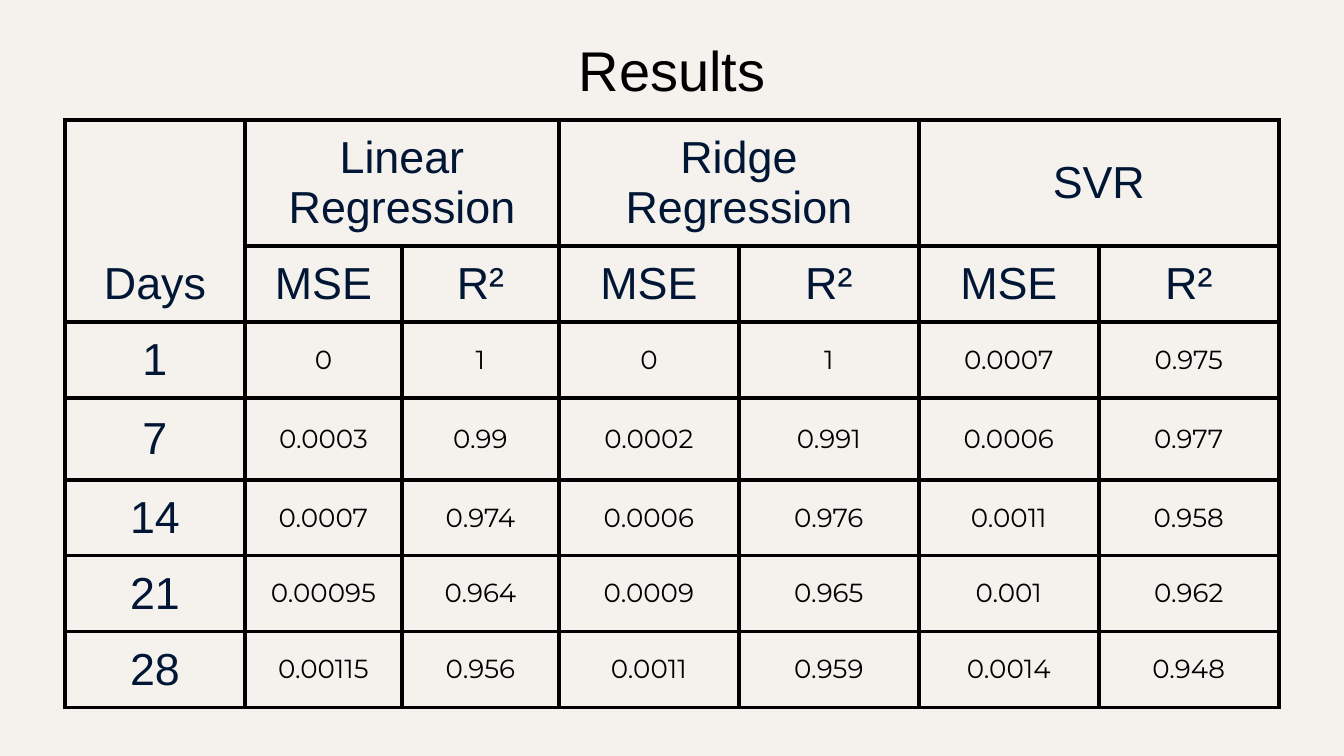
import pptx
import pptx.dml.color
import pptx.enum.text
import pptx.oxml
import pptx.oxml.ns
import pptx.util

EMU_PER_PX = 914400 / 134.4
BACKGROUND = pptx.dml.color.RGBColor(0xF5, 0xF2, 0xEE)
BLACK = pptx.dml.color.RGBColor(0x00, 0x00, 0x00)
NAVY = pptx.dml.color.RGBColor(0x01, 0x16, 0x35)
ANCHOR = pptx.enum.text.MSO_ANCHOR
CENTER = pptx.enum.text.PP_ALIGN.CENTER

TITLE_FONT = {"name": "Arial", "size": pptx.util.Pt(30), "bold": False}
HEADER_FONT = {"name": "Arial", "size": pptx.util.Pt(24), "bold": False}
VALUE_FONT = {"name": "Montserrat", "size": pptx.util.Pt(14), "bold": False}

COLUMNS = [180, 157, 157, 180, 180, 180, 180]
ROWS = [74, 74, 74, 82, 74, 74, 74]
MODELS = ["Linear\nRegression", "Ridge\nRegression", "SVR"]
METRICS = ["MSE", "R²"]
RESULTS = [
    ["1", "0", "1", "0", "1", "0.0007", "0.975"],
    ["7", "0.0003", "0.99", "0.0002", "0.991", "0.0006", "0.977"],
    ["14", "0.0007", "0.974", "0.0006", "0.976", "0.0011", "0.958"],
    ["21", "0.00095", "0.964", "0.0009", "0.965", "0.001", "0.962"],
    ["28", "0.00115", "0.956", "0.0011", "0.959", "0.0014", "0.948"],
]


def px(n):
    """Turn pixels into EMU."""
    return pptx.util.Emu(round(n * EMU_PER_PX))


def apply(obj, values):
    """Set each attribute named in values."""
    for name, value in values.items():
        setattr(obj, name, value)


def write(tf, text, font, color):
    """Fill a text frame with centred paragraphs."""
    tf.text = text
    for p in tf.paragraphs:
        p.alignment = CENTER
        for r in p.runs:
            apply(r.font, font)
            r.font.color.rgb = color


def add_title(s, text):
    """Place and format the title placeholder."""
    sp = s.shapes.title
    apply(sp, {"left": px(0), "top": px(16), "width": px(1344), "height": px(85)})
    tf = sp.text_frame
    apply(tf, {
        "word_wrap": True,
        "auto_size": pptx.enum.text.MSO_AUTO_SIZE.NONE,
        "vertical_anchor": ANCHOR.TOP,
        "margin_left": px(13), "margin_right": px(13),
        "margin_top": px(20), "margin_bottom": px(13),
    })
    write(tf, text, TITLE_FONT, BLACK)


def set_borders(cell):
    """Draw a black line on all four sides of a cell."""
    tc_pr = cell._tc.get_or_add_tcPr()
    for i, side in enumerate("LRTB"):
        ln = pptx.oxml.parse_xml(
            f'<a:ln{side} {pptx.oxml.ns.nsdecls("a")} w="{pptx.util.Pt(2.25)}">'
            f'<a:solidFill><a:srgbClr val="{BLACK}"/></a:solidFill></a:ln{side}>'
        )
        tc_pr.insert(i, ln)


def format_cell(cell):
    """Give a cell its insets, anchor, empty fill and borders."""
    margins = {f"margin_{side}": px(13) for side in ("left", "right", "top", "bottom")}
    apply(cell, {"vertical_anchor": ANCHOR.MIDDLE, **margins})
    cell.fill.background()
    set_borders(cell)


def add_results_table(s):
    """Add the table of errors and scores by day and model."""
    frame = s.shapes.add_table(len(ROWS), len(COLUMNS), px(65), px(120), px(sum(COLUMNS)), px(620))
    table = frame.table
    apply(table, {"first_row": False, "horz_banding": False})
    for column, width in zip(table.columns, COLUMNS):
        column.width = px(width)
    for row, height in zip(table.rows, ROWS):
        row.height = px(height)
    frame.height = px(620)
    for cell in table.iter_cells():
        format_cell(cell)

    days = table.cell(0, 0)
    days.merge(table.cell(1, 0))
    days.vertical_anchor = ANCHOR.BOTTOM
    write(days.text_frame, "Days", HEADER_FONT, NAVY)
    for i, model in enumerate(MODELS):
        first = 1 + i * len(METRICS)
        head = table.cell(0, first)
        head.merge(table.cell(0, first + len(METRICS) - 1))
        write(head.text_frame, model, HEADER_FONT, NAVY)
        for j, metric in enumerate(METRICS):
            write(table.cell(1, first + j).text_frame, metric, HEADER_FONT, NAVY)
    for i, values in enumerate(RESULTS, 2):
        for j, value in enumerate(values):
            font, color = (VALUE_FONT, BLACK) if j else (HEADER_FONT, NAVY)
            write(table.cell(i, j).text_frame, value, font, color)


def main():
    """Build the results slide and save it."""
    prs = pptx.Presentation()
    apply(prs, {"slide_width": px(1344), "slide_height": px(756)})
    s = prs.slides.add_slide(prs.slide_layouts[5])
    s.background.fill.solid()
    s.background.fill.fore_color.rgb = BACKGROUND
    add_title(s, "Results")
    add_results_table(s)
    prs.save("out.pptx")


if __name__ == "__main__":
    main()
